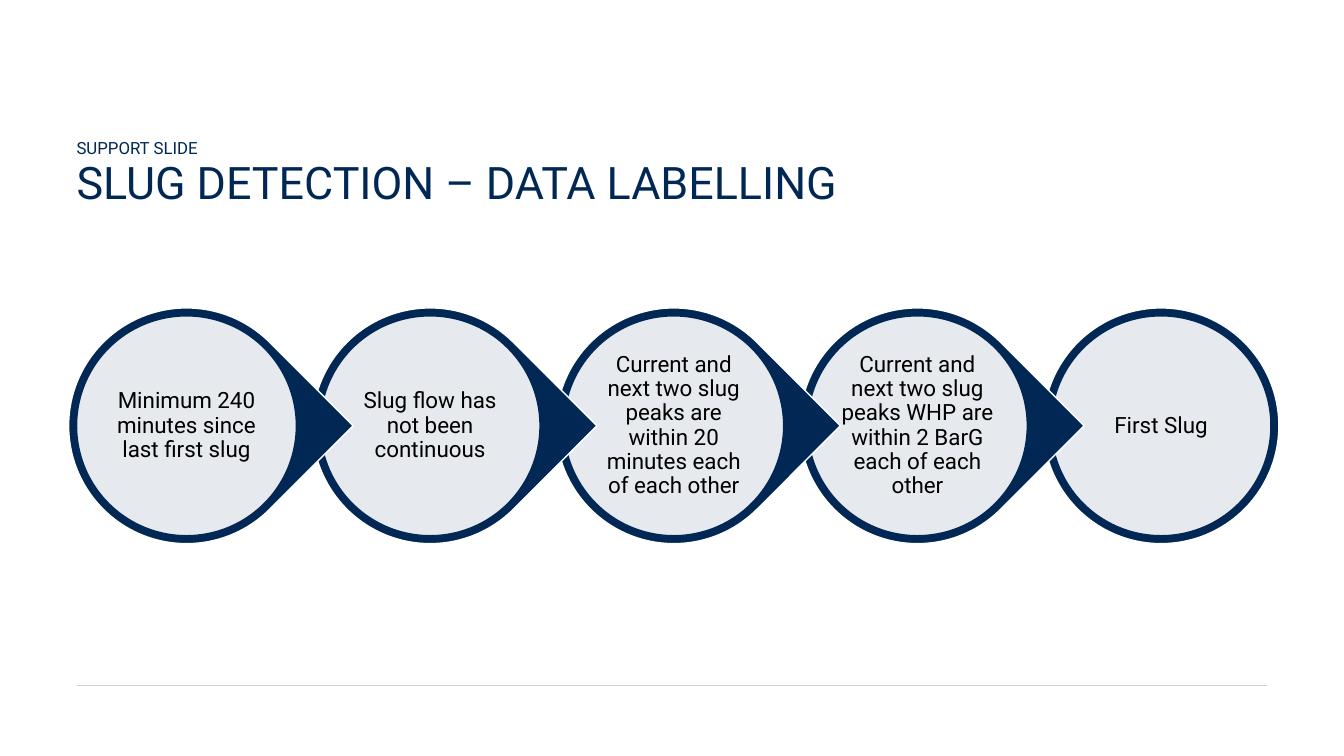
from lxml import etree
from pptx import Presentation
from pptx.dml.color import RGBColor
from pptx.enum.shapes import MSO_CONNECTOR, MSO_SHAPE
from pptx.enum.text import MSO_ANCHOR as ANCHOR, PP_ALIGN as ALIGN
from pptx.oxml.ns import qn
from pptx.util import Cm, Pt

NAVY = RGBColor(0x01, 0x28, 0x55)
WHITE = RGBColor(0xFF, 0xFF, 0xFF)
BLACK = RGBColor(0, 0, 0)
GREY = RGBColor(0xD0, 0xD0, 0xD0)
FONT = "Roboto"

MARGIN, CONTENT_W = 1.93, 30.0
STEP_LEFT, STEP_TOP, STEP_PITCH = 1.73, 7.76, 6.14
RING, DISC, LABEL = 5.94, 5.54, 3.96

STEPS = [
    "Minimum 240 minutes since last first slug",
    "Slug flow has not been continuous",
    "Current and next two slug peaks are within 20 minutes each of each other",
    "Current and next two slug peaks WHP are within 2 BarG each of each other",
    "First Slug",
]


def add_text(slide, text, box, size, color, spacing, anchor=ANCHOR.TOP,
             align=ALIGN.LEFT, inset=0):
    tf = slide.shapes.add_textbox(*map(Cm, box)).text_frame
    tf.word_wrap = True
    tf.vertical_anchor = anchor
    tf.margin_left = tf.margin_right = tf.margin_top = tf.margin_bottom = Cm(inset)
    p = tf.paragraphs[0]
    p.text = text
    p.alignment = align
    p.line_spacing = spacing
    p.font.name, p.font.size, p.font.color.rgb = FONT, Pt(size), color
    r = p.runs[0]
    r.font.name, r.font.size, r.font.color.rgb = FONT, Pt(size), color


def add_round(slide, kind, box, fill, line):
    sp = slide.shapes.add_shape(kind, *map(Cm, box))
    sp.shadow.inherit = False
    sp.fill.solid()
    sp.fill.fore_color.rgb = fill
    sp.line.color.rgb = line
    sp.line.width = Pt(1)
    return sp


def set_opacity(sp, percent):
    color = sp._element.spPr.find(qn("a:solidFill"))[0]
    etree.SubElement(color, qn("a:alpha")).set("val", str(percent * 1000))


def centred_box(left, size):
    """Square of the given size in the middle of the ring that starts at left."""
    gap = (RING - size) / 2
    return left + gap, STEP_TOP + gap, size, size


def add_step(slide, index, text):
    left = STEP_LEFT + index * STEP_PITCH
    is_last = index == len(STEPS) - 1
    kind = MSO_SHAPE.OVAL if is_last else MSO_SHAPE.TEAR
    ring = add_round(slide, kind, centred_box(left, RING), NAVY, WHITE)
    if not is_last:
        ring.rotation = 45
    disc = add_round(slide, MSO_SHAPE.OVAL, centred_box(left, DISC), WHITE, NAVY)
    set_opacity(disc, 90)
    add_text(slide, text, centred_box(left, LABEL), 16, BLACK, 0.9,
             ANCHOR.MIDDLE, ALIGN.CENTER, inset=0.05)


def add_footer_rule(slide):
    y = Cm(17.27)
    line = slide.shapes.add_connector(
        MSO_CONNECTOR.STRAIGHT, Cm(MARGIN), y, Cm(MARGIN + CONTENT_W), y)
    line.line.color.rgb = GREY
    line.line.width = Pt(0.5)
    etree.SubElement(line._element.spPr, qn("a:effectLst"))


def main():
    prs = Presentation()
    prs.slide_width, prs.slide_height = Cm(33.87), Cm(19.05)
    slide = prs.slides.add_slide(prs.slide_layouts[6])
    add_footer_rule(slide)
    add_text(slide, "SUPPORT SLIDE", (MARGIN, 3.43, CONTENT_W, 0.56),
             12, NAVY, 1.1, ANCHOR.BOTTOM)
    add_text(slide, "SLUG DETECTION – DATA LABELLING",
             (MARGIN, 4.11, CONTENT_W, 1.17), 32, NAVY, 0.85)
    # Last step first, so that each tip overlaps the next ring
    for index, text in reversed(list(enumerate(STEPS))):
        add_step(slide, index, text)
    prs.save("out.pptx")


if __name__ == "__main__":
    main()
